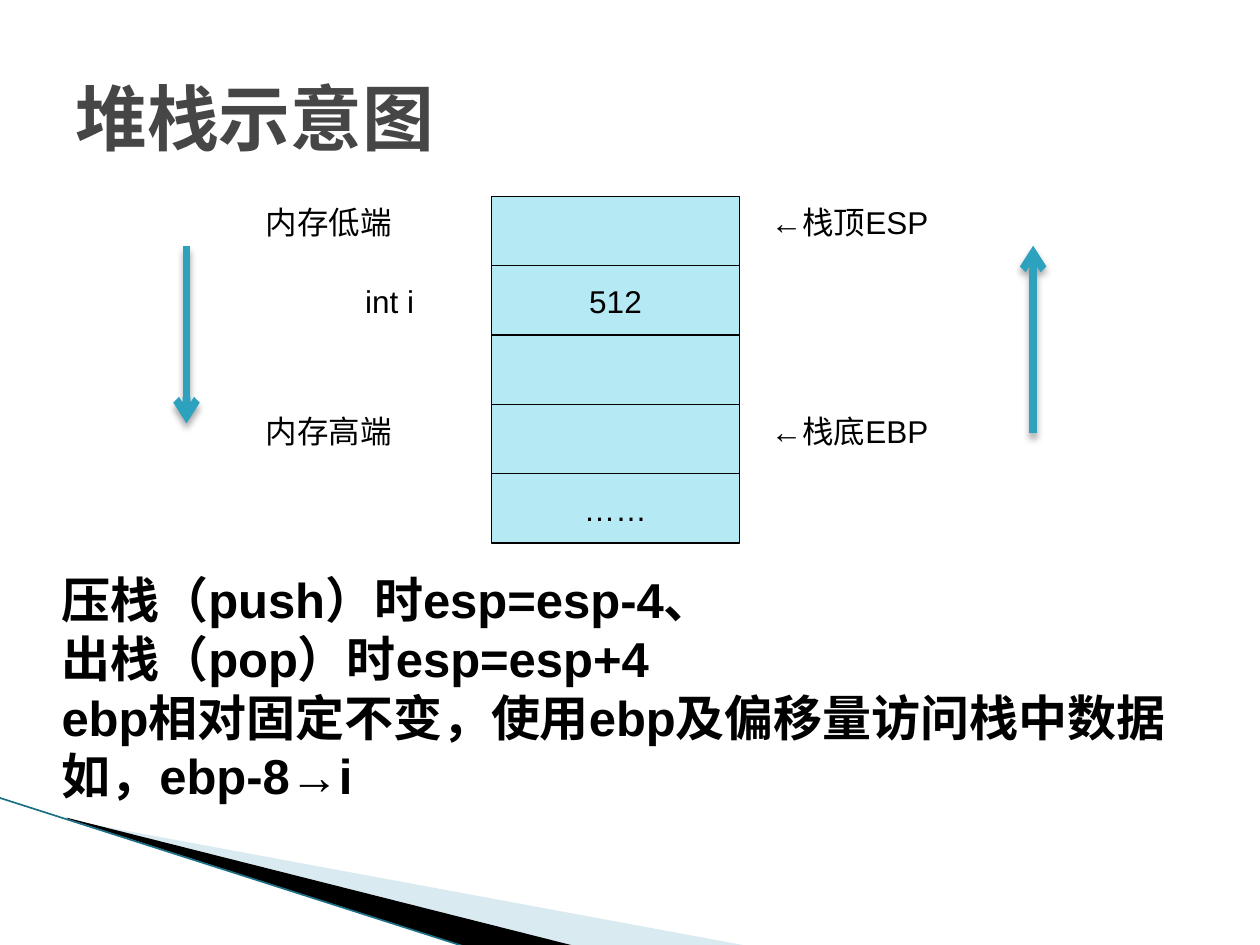
from dataclasses import dataclass

from lxml import etree
from pptx import Presentation
from pptx.dml.color import RGBColor
from pptx.enum.shapes import MSO_CONNECTOR, MSO_SHAPE
from pptx.enum.text import MSO_ANCHOR, PP_ALIGN
from pptx.oxml.ns import qn
from pptx.util import Inches, Pt

RECT = MSO_SHAPE.RECTANGLE
LINE = MSO_CONNECTOR.STRAIGHT
MIDDLE, TOP = MSO_ANCHOR.MIDDLE, MSO_ANCHOR.TOP
CENTER, LEFT = PP_ALIGN.CENTER, PP_ALIGN.LEFT
STACK_TOP, STACK_STEP = 1.56, 0.55
CELLS = ["", "512", "", "", "……"]


@dataclass
class Label:
    text: str
    left: float
    top: float
    width: float
    height: float = 0.5
    size: float = 18
    bold: bool = False
    color: str = "000000"
    font: str = "Arial"
    anchor: MSO_ANCHOR = TOP


@dataclass
class Wedge:
    points: list[tuple[float, float]]
    color: str
    alpha: int = 100


@dataclass
class Arrow:
    x: float
    start: float
    end: float


LABELS = [
    Label("堆栈示意图", 0.5, 0.3, 9, 1.25, 41, True, "464646", "Noto Sans Mono", MIDDLE),
    Label("←栈顶ESP", 6.02, 1.56, 2.21),
    Label("←栈底EBP", 6.02, 3.22, 2.29),
    Label("内存低端", 2.01, 1.56, 1.57),
    Label("内存高端", 2.01, 3.22, 1.57),
    Label("int i", 2.8, 2.19, 0.94),
    Label(
        "压栈（push）时esp=esp-4、\n出栈（pop）时esp=esp+4\n"
        "ebp相对固定不变，使用ebp及偏移量访问栈中数据如，ebp-8→i",
        0.39, 4.47, 9.17, 1.99, 28, True,
    ),
]
WEDGES = [
    Wedge([(0.55, 6.51), (5.95, 7.51), (4.56, 7.51), (0.55, 6.5)], "A0CBDC", 40),
    Wedge([(0.53, 6.49), (4.57, 7.51), (3.72, 7.52), (0.54, 6.5)], "000000"),
]
ARROWS = [Arrow(1.48, 1.95, 3.36), Arrow(8.2, 3.44, 1.95)]


def rgb(code: str) -> RGBColor:
    """Turn a hex string into a colour."""
    return RGBColor.from_string(code)


def style(frame, size: float, bold: bool, color: str, font: str, align) -> None:
    """Format every run for both Latin and East Asian text."""
    for para in frame.paragraphs:
        para.alignment = align
        for run in para.runs:
            run.font.size = Pt(size)
            run.font.bold = bold
            run.font.color.rgb = rgb(color)
            run.font.name = font
            props = run._r.get_or_add_rPr()
            etree.SubElement(props, qn("a:ea"), typeface=font)


def add_label(shapes, label: Label) -> None:
    """Write a label in a wrapping text box."""
    box = shapes.add_textbox(
        Inches(label.left), Inches(label.top), Inches(label.width), Inches(label.height)
    )
    frame = box.text_frame
    frame.word_wrap = True
    frame.vertical_anchor = label.anchor
    frame.text = label.text
    style(frame, label.size, label.bold, label.color, label.font, LEFT)


def add_cell(shapes, row: int, text: str) -> None:
    """Draw one cell of the stack."""
    top = STACK_TOP + row * STACK_STEP
    cell = shapes.add_shape(
        RECT, Inches(3.9), Inches(top), Inches(1.97), Inches(STACK_STEP)
    )
    cell.shadow.inherit = False
    cell.fill.solid()
    cell.fill.fore_color.rgb = rgb("B5E9F4")
    cell.line.color.rgb = rgb("000000")
    cell.line.width = Pt(0.75)
    if text:
        frame = cell.text_frame
        frame.word_wrap = False
        frame.vertical_anchor = MIDDLE
        frame.text = text
        style(frame, 18, False, "000000", "Arial", CENTER)


def add_wedge(shapes, wedge: Wedge) -> None:
    """Draw a filled wedge in the lower corner."""
    points = [(Inches(x), Inches(y)) for x, y in wedge.points]
    pen = shapes.build_freeform(*points[0])
    pen.add_line_segments(points[1:], close=True)
    shape = pen.convert_to_shape()
    shape.shadow.inherit = False
    shape.fill.solid()
    shape.fill.fore_color.rgb = rgb(wedge.color)
    shape.line.fill.background()
    if wedge.alpha < 100:
        tone = shape._element.spPr.find(".//" + qn("a:srgbClr"))
        etree.SubElement(tone, qn("a:alpha"), val=str(wedge.alpha * 1000))


def add_line(shapes, start: tuple, end: tuple, color: str, width: float):
    """Draw a line and return it with its effect list."""
    line = shapes.add_connector(LINE, *map(Inches, start + end))
    line.line.color.rgb = rgb(color)
    line.line.width = Pt(width)
    return line, etree.SubElement(line._element.spPr, qn("a:effectLst"))


def add_arrow(shapes, arrow: Arrow) -> None:
    """Draw an upright arrow with a soft shadow."""
    line, effects = add_line(
        shapes, (arrow.x, arrow.start), (arrow.x, arrow.end), "2DA2BF", 4.33
    )
    stroke = line._element.spPr.find(qn("a:ln"))
    etree.SubElement(stroke, qn("a:tailEnd"), type="arrow")
    shade = etree.SubElement(
        effects, qn("a:outerShdw"), blurRad=str(Pt(4)), dist=str(Pt(3)),
        dir="5400000", rotWithShape="0",
    )
    tone = etree.SubElement(shade, qn("a:srgbClr"), val="000000")
    etree.SubElement(tone, qn("a:alpha"), val="35000")


def main() -> None:
    """Build and save the stack slide."""
    deck = Presentation()
    deck.slide_width, deck.slide_height = Inches(10), Inches(7.5)
    shapes = deck.slides.add_slide(deck.slide_layouts[6]).shapes
    for wedge in WEDGES:
        add_wedge(shapes, wedge)
    add_line(shapes, (-0.01, 6.33), (3.71, 7.52), "1C7086", 0.95)
    for row, text in enumerate(CELLS):
        add_cell(shapes, row, text)
    for label in LABELS:
        add_label(shapes, label)
    for arrow in ARROWS:
        add_arrow(shapes, arrow)
    deck.save("out.pptx")


if __name__ == "__main__":
    main()
